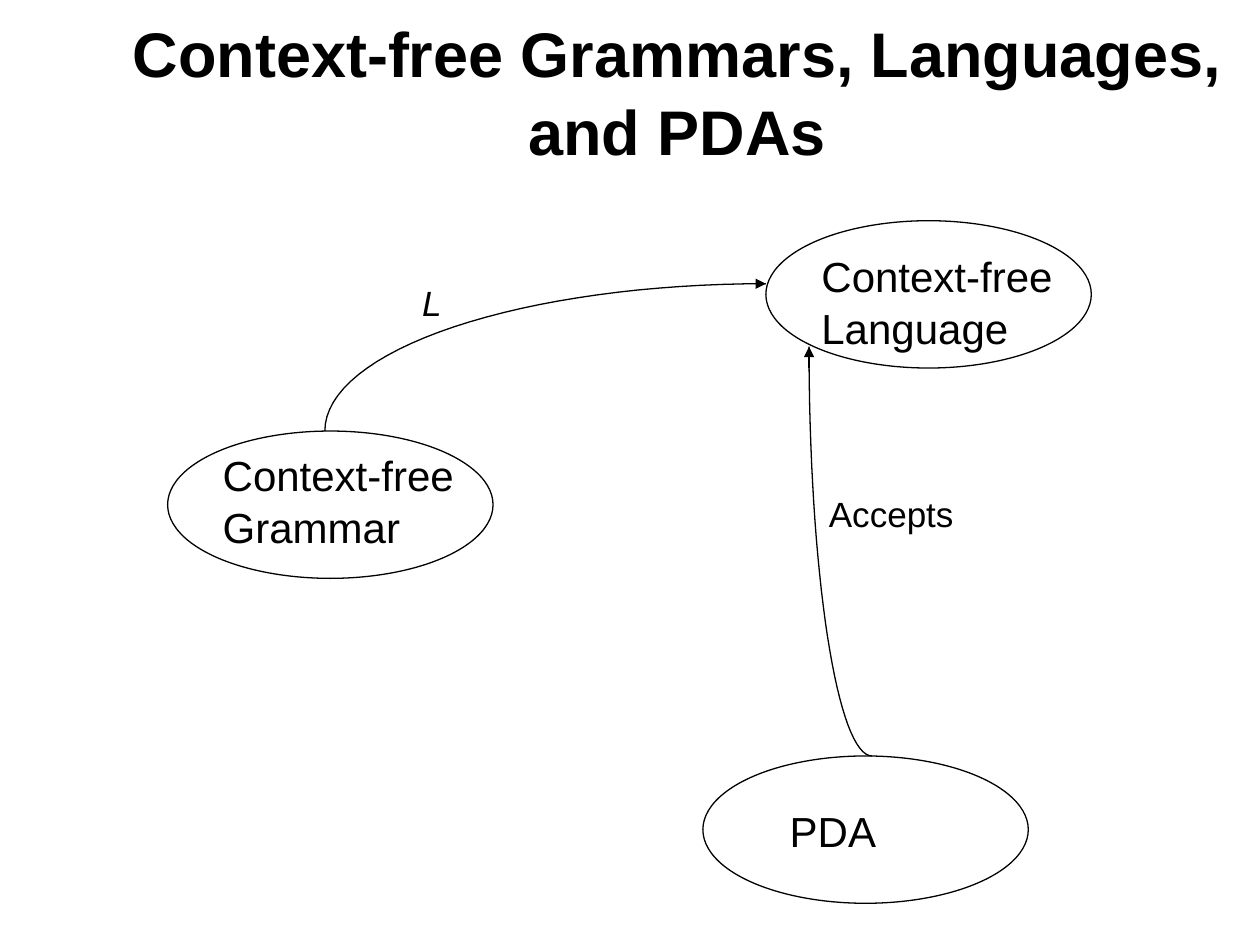
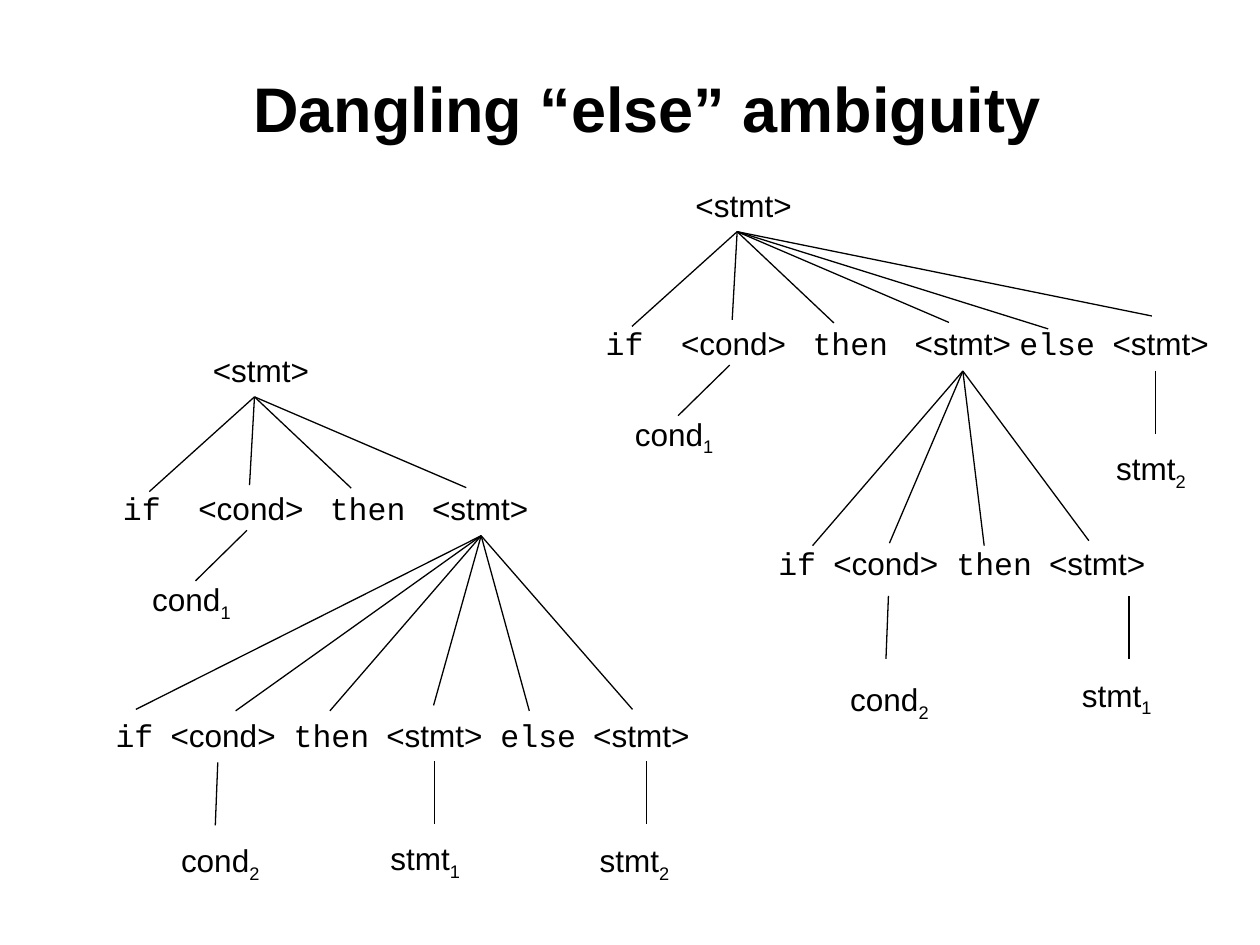
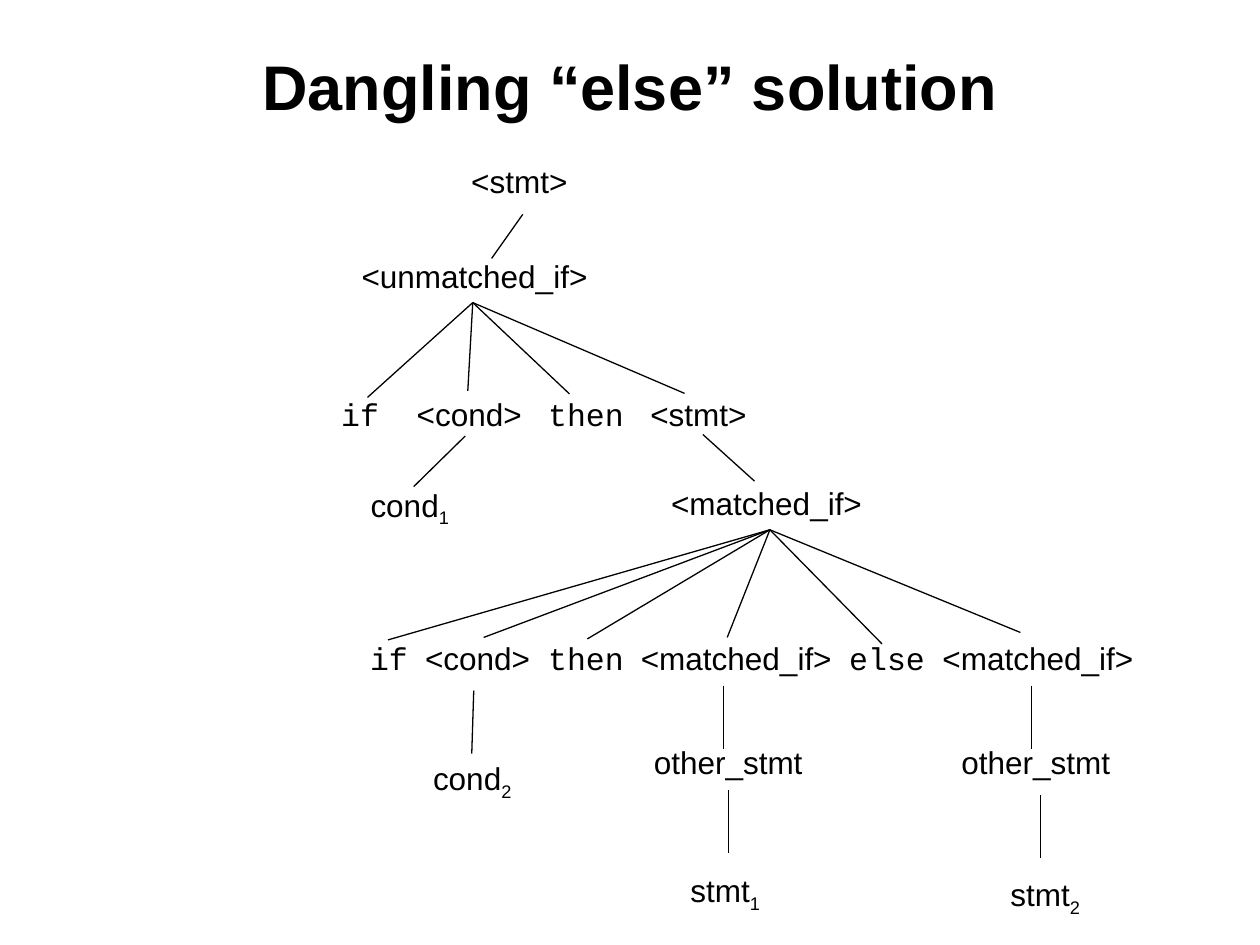
import math

from lxml import etree
from pptx import Presentation
from pptx import util as u
from pptx.dml.color import RGBColor
from pptx.enum import shapes, text
from pptx.oxml import ns

BLACK = RGBColor(0, 0, 0)
WHITE = RGBColor(255, 255, 255)
SANS, MONO = "Arial", "Courier New"
KEYS = {"if", "then", "else"}
THIN = u.Pt(0.75)
LEAD = 1.04
DROP = 1.27

# Width in cm of the box around each word of a tree
WIDE = {"<stmt>": 2.62, "<unmatched_if>": 5.23, "<matched_if>": 4.6,
        "other_stmt": 3.6, "cond": 2.2, "stmt": 2.0}

# Tab stops in cm for the words of each kind of row
LOOSE = [1.52, 4.17, 6.23, 8.34, 10.22]
TIGHT = [1.11, 3.59, 5.46, 7.76, 9.63]
MATCH = [1.11, 3.59, 5.46, 9.66, 11.54]

SHORT = ["if", "<cond>", "then", "<stmt>"]
LONG = SHORT + ["else", "<stmt>"]

# Branch ends of a top rule, in cm from its apex
ENDS = [(-2.12, 1.91), (-0.1, 1.78), (1.95, 1.84),
        (4.27, 1.83), (6.27, 1.96), (8.36, 1.7)]


def sub(parent, tag, **attrs):
    return etree.SubElement(parent, ns.qn(tag), **attrs)


def style(run, size, bold=False, slant=False):
    font = run.font
    font.name = MONO if run.text.strip() in KEYS else SANS
    font.size = u.Pt(size)
    font.bold, font.italic = bold, slant
    font.color.rgb = BLACK


def label(slide, x, y, wide, high, words, size=18, **look):
    """Place a text box and return its only paragraph."""
    box = slide.shapes.add_textbox(u.Cm(x), u.Cm(y), u.Cm(wide), u.Cm(high))
    frame = box.text_frame
    frame.word_wrap = True
    para = frame.paragraphs[0]
    para.text = words
    para.line_spacing = LEAD
    for run in para.runs:
        style(run, size, **look)
    return para


def title(slide, x, y, wide, high, words):
    para = label(slide, x, y, wide, high, words, 36, bold=True)
    para.alignment = text.PP_ALIGN.CENTER
    slide.shapes[-1].text_frame.vertical_anchor = text.MSO_ANCHOR.MIDDLE


def node(slide, x, y, word, index=""):
    """Place one tree word, with a lowered index if there is one."""
    para = label(slide, x, y, WIDE[word], 1.12 if index else 1.02, word)
    if index:
        run = para.add_run()
        run.text = index
        style(run, 18)
        run._r.get_or_add_rPr().set("baseline", "-25000")


def row(slide, x, y, wide, words, stops):
    """Place the words of a rule on one line, set apart by tab stops."""
    para = label(slide, x, y, wide, 1.02, words[0])
    tabs = sub(para._p.get_or_add_pPr(), "a:tabLst")
    for word, stop in zip(words[1:], stops):
        sub(tabs, "a:tab", pos=str(u.Cm(stop)), algn="l")
        run = para.add_run()
        run.text = "\t" + word
        style(run, 18)


def line(slide, start, end, head=False):
    link = slide.shapes.add_connector(
        shapes.MSO_CONNECTOR.STRAIGHT, *map(u.Cm, (*start, *end)))
    link.line.color.rgb = BLACK
    link.line.width = THIN
    if head:
        sub(link.line._get_or_add_ln(), "a:tailEnd", type="triangle")
    sub(link._element.spPr, "a:effectLst")


def fan(slide, apex, ends):
    for end in ends:
        line(slide, apex, end)


def drop(slide, x, y, lean=0):
    line(slide, (x, y), (x + lean, y + DROP))


def outline(shape):
    shape.shadow.inherit = False
    shape.fill.background()
    shape.line.color.rgb = BLACK
    shape.line.width = THIN


def oval(slide, x, y):
    outline(slide.shapes.add_shape(
        shapes.MSO_SHAPE.OVAL, u.Cm(x), u.Cm(y), u.Cm(6.56), u.Cm(2.97)))


def curve(slide, x, y, wide, high, steps=32):
    """Draw a quarter ellipse around (x, y), from its left end to its top or bottom."""
    turns = [math.pi / 2 * i / steps for i in range(steps + 1)]
    dots = [(u.Cm(x - wide * math.cos(t)), u.Cm(y + high * math.sin(t)))
            for t in turns]
    pen = slide.shapes.build_freeform(*dots[0])
    pen.add_line_segments(dots[1:], close=False)
    outline(pen.convert_to_shape())


def outer(slide, x, y, root, shift, words, wide):
    """Draw a top rule with its root word, branches and first condition."""
    node(slide, x - shift, y - 1.07, root)
    fan(slide, (x, y), [(x + dx, y + dy) for dx, dy in ENDS[:len(words)]])
    row(slide, x - 2.9, y + 1.7, wide, words, LOOSE)
    line(slide, (x - 0.15, y + 2.69), (x - 1.19, y + 3.71))
    node(slide, x - 2.31, y + 3.53, "cond", "1")


def grammars(slide):
    title(slide, 1.9, 0.64, 23.5, 2.34,
          "Context-free Grammars, Languages, and PDAs")
    label(slide, 16.31, 4.88, 6.99, 2.29, "Context-free Language", 24)
    label(slide, 4.24, 8.89, 8.05, 2.29, "Context-free Grammar", 24)
    label(slide, 15.67, 16.08, 6.35, 1.27, "PDA", 24)
    for x, y in [(15.44, 4.45), (14.17, 15.24), (3.38, 8.69)]:
        oval(slide, x, y)
    curve(slide, 15.44, 8.69, 8.89, -2.97)
    line(slide, (15.04, 5.72), (15.44, 5.72), head=True)
    curve(slide, 17.58, 6.99, 1.27, 8.25)
    line(slide, (16.31, 7.42), (16.31, 6.99), head=True)
    label(slide, 8.26, 5.51, 1.47, 1.12, "L", 20, slant=True)
    label(slide, 16.46, 9.78, 3.1, 1.12, "Accepts", 20)


def ambiguity(slide):
    title(slide, 1.27, 0.76, 23.55, 2.74, "Dangling “else” ambiguity")

    outer(slide, 5.13, 8, "<stmt>", 1.09, SHORT, 8.8)
    fan(slide, (9.7, 10.8), [(2.74, 14.3), (4.75, 14.33), (6.65, 14.33),
                             (8.74, 14.22), (10.67, 14.33), (12.75, 14.3)])
    row(slide, 2.08, 14.27, 12.2, LONG, TIGHT)
    drop(slide, 4.39, 15.37, -0.05)
    drop(slide, 8.76, 15.35)
    drop(slide, 13.03, 15.35)
    node(slide, 3.4, 16.79, "cond", "2")
    node(slide, 7.62, 16.76, "stmt", "1")
    node(slide, 11.84, 16.79, "stmt", "2")

    outer(slide, 14.86, 4.67, "<stmt>", 1.09, LONG, 12.8)
    fan(slide, (19.41, 7.48), [(16.38, 11), (17.93, 10.95),
                               (19.84, 11), (21.95, 10.9)])
    row(slide, 15.44, 10.82, 8, SHORT, TIGHT)
    drop(slide, 17.91, 12.01, -0.05)
    drop(slide, 23.29, 7.47)
    drop(slide, 22.76, 12.01)
    node(slide, 16.89, 13.56, "cond", "2")
    node(slide, 22.25, 8.89, "stmt", "2")
    node(slide, 21.56, 13.46, "stmt", "1")


def solution(slide):
    title(slide, 1.27, 0.76, 22.86, 1.85, "Dangling “else” solution")
    node(slide, 9.25, 3.12, "<stmt>")
    line(slide, (10.54, 4.32), (9.91, 5.21))
    outer(slide, 9.53, 6.1, "<unmatched_if>", 2.49, SHORT, 8.8)
    line(slide, (14.17, 8.76), (15.21, 9.7))
    node(slide, 13.28, 9.6, "<matched_if>")
    fan(slide, (15.52, 10.68), [(7.82, 12.9), (9.75, 12.85), (11.84, 12.88),
                                (14.66, 12.85), (17.78, 12.98), (20.57, 12.75)])
    row(slide, 7.21, 12.73, 16,
        ["if", "<cond>", "then", "<matched_if>", "else", "<matched_if>"], MATCH)
    drop(slide, 9.55, 13.92, -0.04)
    node(slide, 8.48, 15.14, "cond", "2")
    for x in (14.58, 20.8):
        drop(slide, x, 13.82)
    for x in (12.93, 19.13):
        node(slide, x, 14.83, "other_stmt")
    drop(slide, 14.68, 15.93)
    drop(slide, 20.98, 16.03)
    node(slide, 13.67, 17.4, "stmt", "1")
    node(slide, 20.12, 17.48, "stmt", "2")


def main():
    deck = Presentation()
    deck.slide_width, deck.slide_height = u.Cm(25.4), u.Cm(19.05)
    for draw in (grammars, ambiguity, solution):
        slide = deck.slides.add_slide(deck.slide_layouts[6])
        slide.background.fill.solid()
        slide.background.fill.fore_color.rgb = WHITE
        draw(slide)
    deck.save("out.pptx")


if __name__ == "__main__":
    main()
